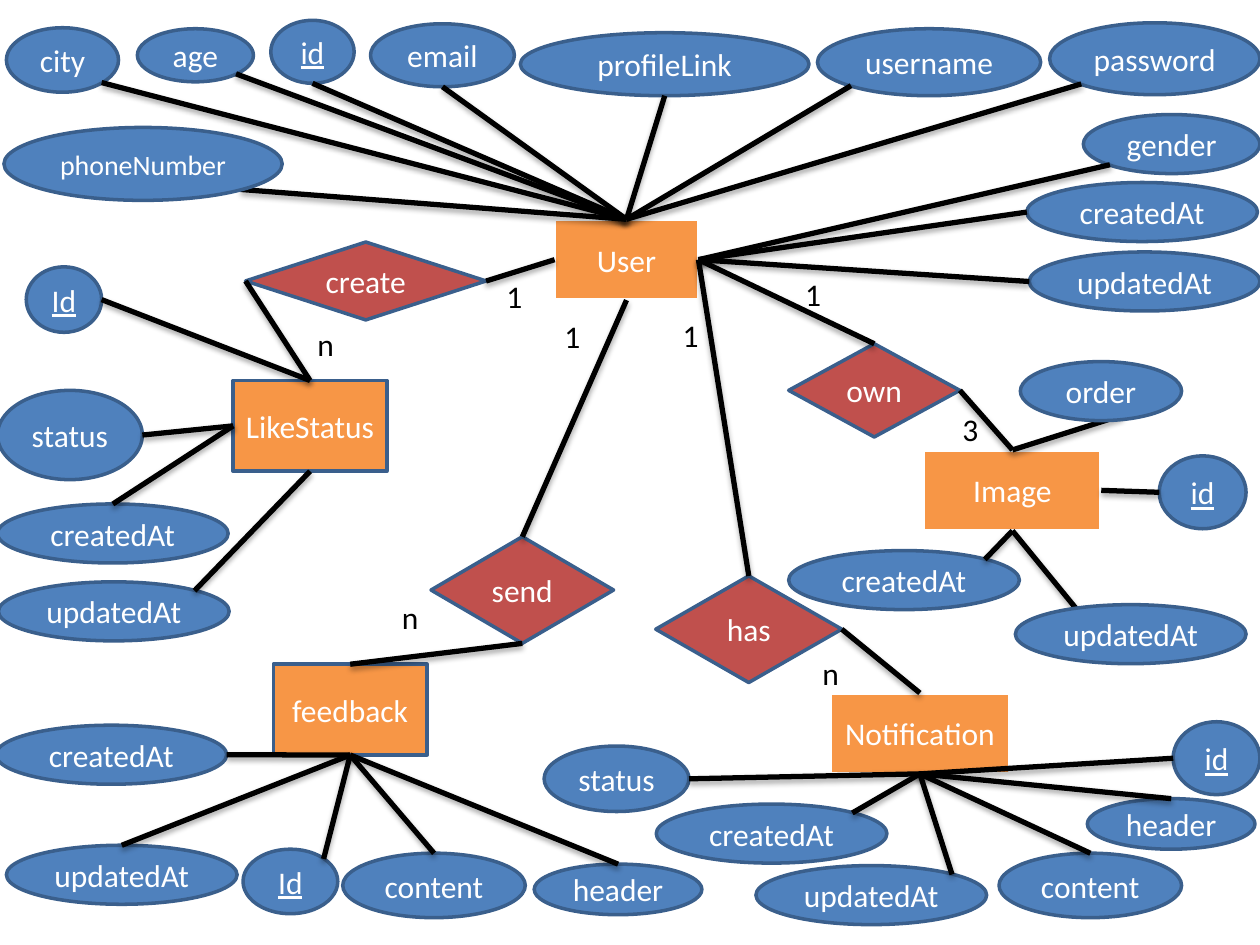
from dataclasses import dataclass

from lxml import etree
from pptx import Presentation
from pptx.dml.color import RGBColor
from pptx.enum.shapes import MSO_CONNECTOR, MSO_SHAPE as Shape
from pptx.enum.text import MSO_ANCHOR, MSO_AUTO_SIZE, PP_ALIGN
from pptx.oxml.ns import nsdecls
from pptx.util import Cm, Pt


@dataclass(frozen=True)
class Theme:
    font: str = "Calibri"
    size: int = 18
    small_size: int = 16
    entity: str = "F79646"
    attribute: str = "4F81BD"
    relationship: str = "C0504D"
    outline: str = "3A5F8C"
    white: str = "FFFFFF"
    black: str = "000000"
    outline_width: int = 2
    link_width: int = 3


theme = Theme()
TOP, LEFT, BOTTOM, RIGHT = range(4)

# Where a link meets an oval, as fractions of its width and height
SITES = {
    "top": (0.5, 0), "left": (0, 0.5), "bottom": (0.5, 1), "right": (1, 0.5),
    "lower left": (0.15, 0.85), "lower right": (0.85, 0.85), "upper right": (0.85, 0.15),
    "behind": (0.85, 0.85), "behind left": (0.44, 0.91), "behind right": (0.63, 0.91),
}

presentation = Presentation()
presentation.slide_width, presentation.slide_height = Cm(25.4), Cm(19.05)
slide = presentation.slides.add_slide(presentation.slide_layouts[6])


def add_node(kind, text, box, fill, outline=theme.outline, size=theme.size):
    shape = slide.shapes.add_shape(kind, *map(Cm, box))
    shape.shadow.inherit = False
    shape.fill.solid()
    shape.fill.fore_color.rgb = RGBColor.from_string(fill)
    shape.line.color.rgb = RGBColor.from_string(outline)
    shape.line.width = Pt(theme.outline_width)
    shape.text_frame.text = text
    shape.text_frame.vertical_anchor = MSO_ANCHOR.MIDDLE
    paragraph = shape.text_frame.paragraphs[0]
    paragraph.alignment = PP_ALIGN.CENTER
    font = paragraph.runs[0].font
    font.name, font.size = theme.font, Pt(size)
    font.color.rgb = RGBColor.from_string(theme.white)
    if text.lower() == "id":
        font.underline = True
    return shape


def add_link(node, side, end=(0, 0)):
    link = slide.shapes.add_connector(MSO_CONNECTOR.STRAIGHT, 0, 0, *map(Cm, end))
    link.begin_connect(node, side)
    link.line.color.rgb = RGBColor.from_string(theme.black)
    link.line.width = Pt(theme.link_width)
    link._element.spPr.append(etree.fromstring(
        f'<a:effectLst {nsdecls("a")}>'
        '<a:outerShdw blurRad="40000" dist="23000" dir="5400000" rotWithShape="0">'
        f'<a:srgbClr val="{theme.black}"><a:alpha val="35000"/></a:srgbClr>'
        '</a:outerShdw></a:effectLst>'))
    return link


# Entities
entities = {}
for name, box, outline in [
    ("User", (11.18, 4.42, 2.9, 1.63), theme.white),
    ("LikeStatus", (4.7, 7.67, 3.1, 1.83), theme.outline),
    ("feedback", (5.51, 13.39, 3.1, 1.83), theme.outline),
    ("Notification", (16.74, 13.97, 3.61, 1.63), theme.white),
    ("Image", (18.62, 9.07, 3.58, 1.63), theme.white),
]:
    entities[name] = add_node(Shape.RECTANGLE, name, box, theme.entity, outline)

# Relationships, each linked to two entities: (own side, entity, entity side)
for name, box, ends in [
    ("create", (4.95, 4.88, 4.85, 1.57), [(LEFT, "LikeStatus", TOP), (RIGHT, "User", LEFT)]),
    ("send", (8.69, 10.82, 3.68, 2.15), [(TOP, "User", BOTTOM), (BOTTOM, "feedback", TOP)]),
    ("has", (13.22, 11.61, 3.75, 2.15), [(TOP, "User", RIGHT), (RIGHT, "Notification", TOP)]),
    ("own", (15.9, 6.93, 3.45, 1.88), [(TOP, "User", RIGHT), (RIGHT, "Image", TOP)]),
]:
    diamond = add_node(Shape.DIAMOND, name, box, theme.relationship)
    for own_side, entity, side in ends:
        add_link(diamond, own_side).end_connect(entities[entity], side)

# Attributes: (text, left, top, (width, height), site on the oval, entity side)
stamp, content, header, key = (4.65, 1.19), (3.68, 1.3), (3.38, 1.02), (1.75, 1.47)
attributes = {
    "User": [
        ("city", 0.13, 0.56, (2.26, 1.3), "lower right", TOP),
        ("age", 2.77, 0.58, (2.34, 1.07), "lower right", TOP),
        ("id", 5.46, 0.41, (1.68, 1.27), "bottom", TOP),
        ("email", 7.47, 0.48, (2.9, 1.27), "bottom", TOP),
        ("profileLink", 10.49, 0.66, (5.82, 1.27), "bottom", TOP),
        ("username", 16.48, 0.58, (4.5, 1.35), "lower left", TOP),
        ("password", 21.16, 0.46, (4.24, 1.45), "lower left", TOP),
        ("phoneNumber", 0.08, 2.57, (5.61, 1.47), "behind", TOP),
        ("gender", 21.84, 2.31, (3.56, 1.19), "lower left", RIGHT),
        ("createdAt", 20.7, 3.68, stamp, "left", RIGHT),
        ("updatedAt", 20.75, 5.08, stamp, "left", RIGHT),
    ],
    "LikeStatus": [
        ("Id", 0.53, 5.38, (1.52, 1.32), "right", TOP),
        ("status", -0.05, 7.87, (2.92, 1.8), "right", LEFT),
        ("createdAt", -0.05, 10.16, stamp, "top", LEFT),
        ("updatedAt", -0.03, 11.73, stamp, "upper right", BOTTOM),
    ],
    "feedback": [
        ("createdAt", -0.08, 14.62, stamp, "right", BOTTOM),
        ("updatedAt", 0.13, 17.04, stamp, "top", BOTTOM),
        ("Id", 4.9, 17.12, (1.91, 1.3), "upper right", BOTTOM),
        ("content", 6.91, 17.2, content, "top", BOTTOM),
        ("header", 10.77, 17.42, header, "top", BOTTOM),
    ],
    "Notification": [
        ("id", 23.65, 14.55, key, "left", BOTTOM),
        ("content", 20.14, 17.2, content, "top", BOTTOM),
        ("header", 21.92, 16.1, header, "top", BOTTOM),
        ("createdAt", 13.23, 16.21, stamp, "upper right", BOTTOM),
        ("updatedAt", 15.24, 17.45, stamp, "upper right", BOTTOM),
        ("status", 10.97, 15.04, (2.92, 1.32), "right", BOTTOM),
    ],
    "Image": [
        ("order", 20.57, 7.29, (3.25, 1.19), "behind right", TOP),
        ("id", 23.37, 9.19, key, "left", RIGHT),
        ("createdAt", 15.9, 11.1, stamp, "upper right", BOTTOM),
        ("updatedAt", 20.47, 12.19, stamp, "behind left", BOTTOM),
    ],
}
for entity, ovals in attributes.items():
    for text, left, top, (width, height), site, side in ovals:
        across, down = SITES[site]
        end = (left + across * width, top + down * height)
        size = theme.small_size if text == "phoneNumber" else theme.size
        behind = site.startswith("behind")
        if behind:
            add_link(entities[entity], side, end)
        add_node(Shape.OVAL, text, (left, top, width, height), theme.attribute, size=size)
        if not behind:
            add_link(entities[entity], side, end)

# Cardinalities
for text, left, top, width in [
    ("n", 6.15, 6.43, 0.66), ("1", 9.96, 5.46, 0.89),
    ("n", 7.85, 11.94, 0.89), ("1", 11.13, 6.27, 0.76),
    ("1", 13.51, 6.25, 0.76), ("n", 16.33, 13.06, 0.76),
    ("1", 15.98, 5.41, 0.76), ("3", 19.15, 8.15, 0.76),
]:
    label = slide.shapes.add_textbox(Cm(left), Cm(top), Cm(width), Cm(1.02))
    label.text_frame.word_wrap = True
    label.text_frame.auto_size = MSO_AUTO_SIZE.SHAPE_TO_FIT_TEXT
    label.text_frame.text = text
    font = label.text_frame.paragraphs[0].runs[0].font
    font.name, font.size = theme.font, Pt(theme.size)
    font.color.rgb = RGBColor.from_string(theme.black)

presentation.save("out.pptx")
